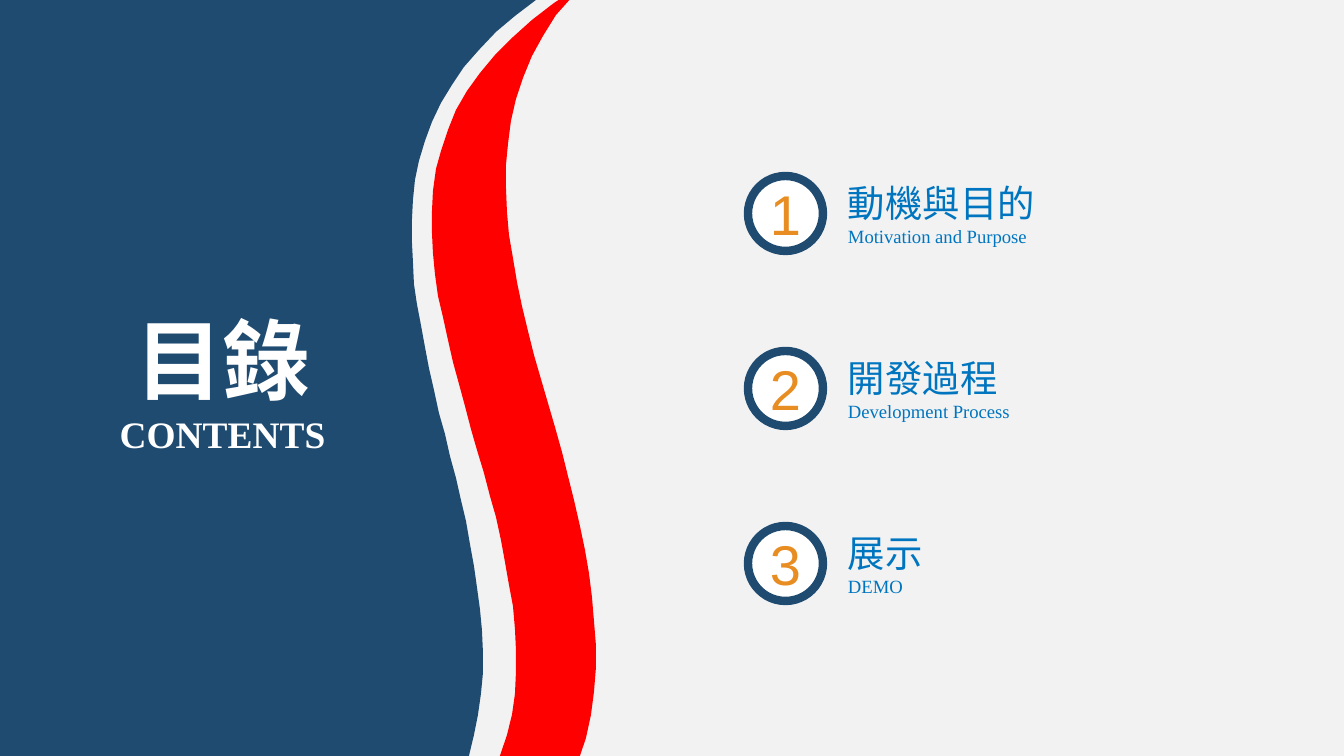
import pptx
import pptx.dml.color
import pptx.enum.shapes
import pptx.enum.text
import pptx.oxml.ns
import pptx.util
import lxml.etree

SCALE = 914400 / 134.4
WIDTH, HEIGHT = 1344, 756
COLORS = {
    "background": "F2F2F2",
    "navy": "1F4B70",
    "red": "FF0000",
    "white": "FFFFFF",
    "orange": "E88D22",
    "blue": "0075BF",
}
CHINESE_FONT = "Noto Sans CJK SC"
ENGLISH_FONT = "Times New Roman"
CENTER = pptx.enum.text.PP_ALIGN.CENTER
LEFT = pptx.enum.text.PP_ALIGN.LEFT
MIDDLE = pptx.enum.text.MSO_ANCHOR.MIDDLE
TOP = pptx.enum.text.MSO_ANCHOR.TOP


def box(left, top, width, height):
    return [round(length * SCALE) for length in (left, top, width, height)]


def write(shape, lines, color, align, anchor, bold=False):
    frame = shape.text_frame
    frame.word_wrap = True
    frame.vertical_anchor = anchor
    frame.margin_left = frame.margin_right = 0
    frame.margin_top = frame.margin_bottom = 0
    for index, (text, size, font) in enumerate(lines):
        paragraph = frame.paragraphs[0] if index == 0 else frame.add_paragraph()
        paragraph.alignment = align
        run = paragraph.add_run()
        run.text = text
        run.font.size = pptx.util.Pt(size)
        run.font.bold = bold
        run.font.color.rgb = pptx.dml.color.RGBColor.from_string(COLORS[color])
        run.font.name = font
        east_asian = lxml.etree.SubElement(run.font._element, pptx.oxml.ns.qn("a:ea"))
        east_asian.set("typeface", font)


presentation = pptx.Presentation()
presentation.slide_width = round(WIDTH * SCALE)
presentation.slide_height = round(HEIGHT * SCALE)
slide = presentation.slides.add_slide(presentation.slide_layouts[6])
slide.background.fill.solid()
slide.background.fill.fore_color.rgb = pptx.dml.color.RGBColor.from_string(COLORS["background"])

entries = [
    ("動機與目的", "Motivation and Purpose"),
    ("開發過程", "Development Process"),
    ("展示", "DEMO"),
]
for index, (chinese, english) in enumerate(entries):
    offset = index * 175
    circle = slide.shapes.add_shape(
        pptx.enum.shapes.MSO_SHAPE.OVAL, *box(748, 176 + offset, 75, 75)
    )
    circle.shadow.inherit = False
    circle.fill.solid()
    circle.fill.fore_color.rgb = pptx.dml.color.RGBColor.from_string(COLORS["white"])
    circle.line.color.rgb = pptx.dml.color.RGBColor.from_string(COLORS["navy"])
    circle.line.width = pptx.util.Pt(4.5)
    write(circle, [(str(index + 1), 30, "Arial")], "orange", CENTER, MIDDLE)

    label = slide.shapes.add_textbox(*box(848, 180 + offset, 282, 67))
    lines = [(chinese, 20, CHINESE_FONT), (english, 10, ENGLISH_FONT)]
    write(label, lines, "blue", LEFT, MIDDLE)

ribbon_right = [
    (581, -13), (573, -4), (556, 15), (543, 36), (532, 56), (523, 78), (516, 99),
    (511, 121), (508, 144), (506, 165), (506, 188), (507, 212), (509, 235),
    (513, 258), (517, 282), (522, 306), (528, 331), (534, 355), (541, 379),
    (548, 403), (555, 427), (562, 452), (568, 476), (574, 500), (580, 526),
    (585, 550), (589, 573), (592, 597), (594, 621), (596, 645), (596, 668),
    (594, 692), (591, 715), (586, 738), (580, HEIGHT),
]
ribbon_left = [
    (500, HEIGHT), (507, 735), (512, 715), (515, 694), (516, 672), (516, 650),
    (515, 629), (513, 606), (509, 585), (505, 562), (501, 540), (496, 517),
    (490, 496), (484, 473), (477, 450), (471, 429), (465, 406), (459, 384),
    (453, 362), (448, 340), (443, 317), (438, 296), (435, 274), (433, 253),
    (432, 233), (432, 211), (433, 191), (436, 169), (441, 151), (448, 130),
    (456, 110), (467, 91), (480, 73), (495, 55), (512, 38), (532, 20),
    (554, 3), (579, -13),
]
panel_edge = [
    (536, 0), (515, 16), (496, 32), (479, 50), (464, 67), (452, 85), (441, 103),
    (432, 122), (425, 141), (419, 161), (415, 180), (413, 200), (412, 220),
    (412, 242), (413, 262), (414, 284), (417, 304), (421, 325), (425, 347),
    (429, 368), (434, 390), (439, 413), (445, 434), (450, 456), (456, 478),
    (461, 500), (466, 521), (470, 544), (474, 566), (477, 587), (480, 609),
    (482, 630), (483, 652), (483, 673), (481, 694), (478, 715), (474, 735),
    (469, HEIGHT),
]
outlines = [
    (ribbon_right + ribbon_left, "red"),
    ([(0, 0)] + panel_edge + [(0, HEIGHT)], "navy"),
]
for points, color in outlines:
    builder = slide.shapes.build_freeform(*points[0], scale=SCALE)
    builder.add_line_segments(points[1:], close=True)
    outline = builder.convert_to_shape()
    outline.shadow.inherit = False
    outline.fill.solid()
    outline.fill.fore_color.rgb = pptx.dml.color.RGBColor.from_string(COLORS[color])
    outline.line.fill.background()

title = slide.shapes.add_textbox(*box(73, 305, 300, 106))
write(title, [("目錄", 47, CHINESE_FONT)], "white", CENTER, MIDDLE, bold=True)
subtitle = slide.shapes.add_textbox(*box(74, 411, 297, 46))
write(subtitle, [("CONTENTS", 20, ENGLISH_FONT)], "white", CENTER, TOP, bold=True)

presentation.save("out.pptx")
